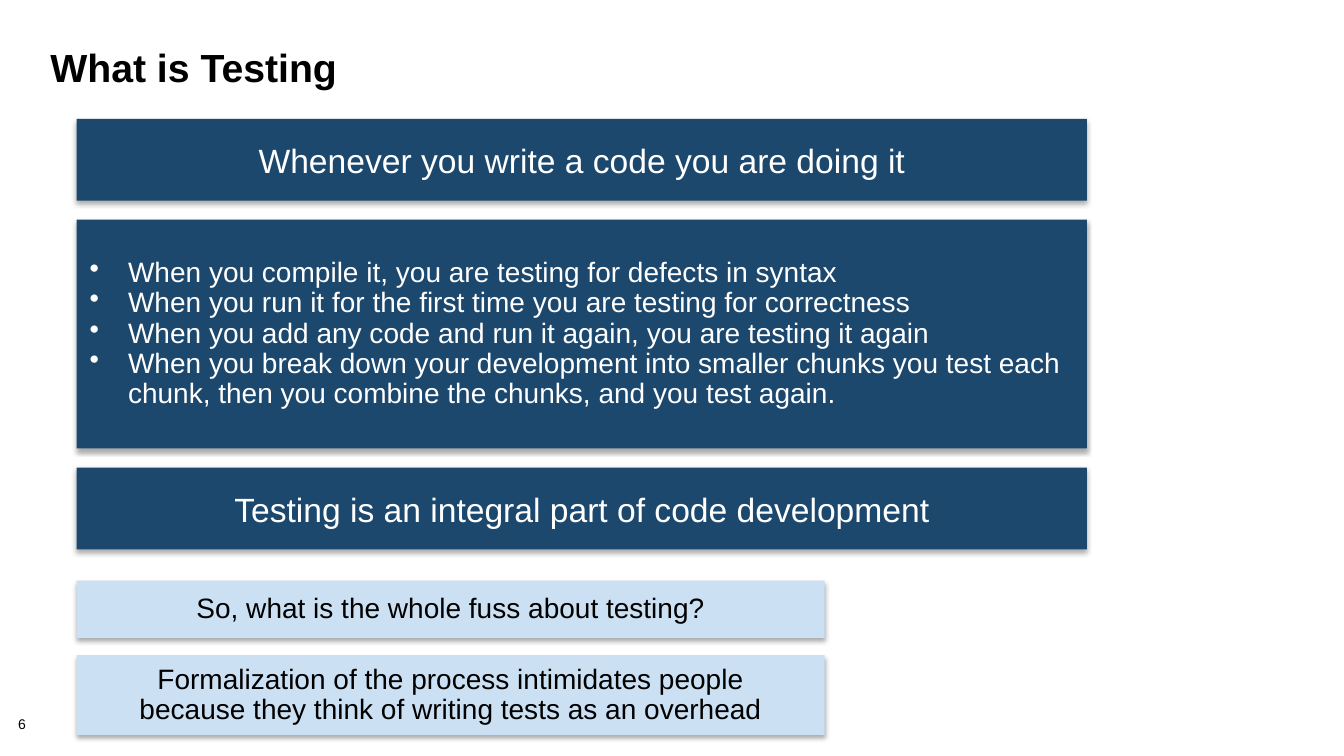
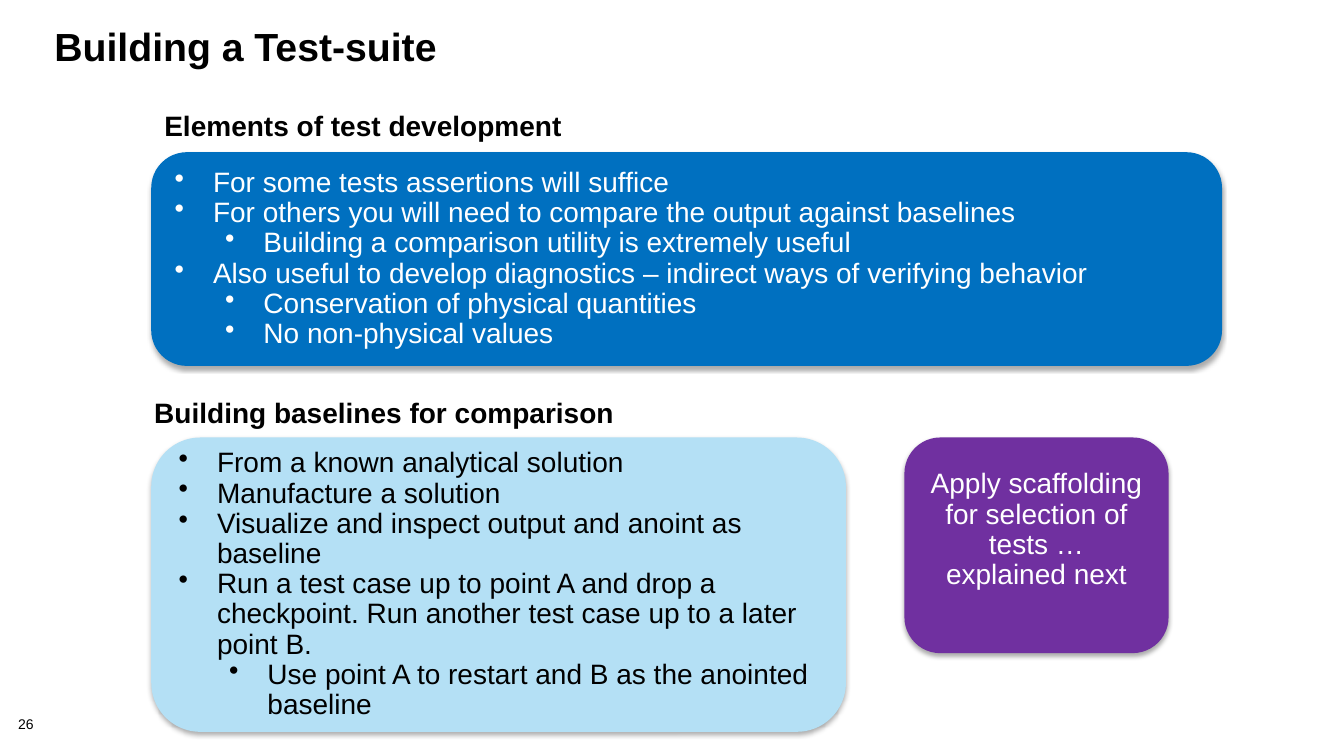
from lxml.etree import fromstring
from pptx import Presentation
from pptx.dml.color import RGBColor
from pptx.enum.shapes import MSO_SHAPE
from pptx.enum.text import MSO_ANCHOR, PP_ALIGN
from pptx.oxml.ns import nsdecls
from pptx.oxml.xmlchemy import OxmlElement
from pptx.util import Inches, Pt

COLORS = {
    "black": "000000",
    "white": "FFFFFF",
    "navy": "1D486E",
    "pale": "CBE0F2",
    "blue": "0070C0",
    "sky": "B4E0F5",
    "purple": "7030A0",
}
FONT = "Arial"
SHADOW = (
    f'<a:outerShdw {nsdecls("a")} blurRad="44450" dist="27940" dir="5400000" '
    'algn="ctr" rotWithShape="0"><a:srgbClr val="000000"><a:alpha val="32000"/>'
    "</a:srgbClr></a:outerShdw>"
)


def write(tf, lines, size=20, color="black", bold=False, align=PP_ALIGN.LEFT,
          spacing=0.9, bullets=False, anchor=MSO_ANCHOR.MIDDLE,
          insets=(0.13, 0.07, 0.13, 0.07)):
    tf.word_wrap = True
    tf.vertical_anchor = anchor
    tf.margin_left, tf.margin_top, tf.margin_right, tf.margin_bottom = map(Inches, insets)
    for i, (level, text) in enumerate(lines):
        p = tf.paragraphs[0] if i == 0 else tf.add_paragraph()
        p.alignment = align
        p.level = level
        p.line_spacing = spacing
        if bullets:
            pPr = p._p.get_or_add_pPr()
            pPr.set("marL", str(Inches(0.38 + 0.5 * level)))
            pPr.set("indent", str(Inches(-0.38)))
            bu = OxmlElement("a:buChar")
            bu.set("char", "•")
            pPr.append(bu)
        r = p.add_run()
        r.text = text
        r.font.name = FONT
        r.font.size = Pt(size)
        r.font.bold = bold
        r.font.color.rgb = RGBColor.from_string(COLORS[color])


def add_panel(s, kind, at, fill, lines, **fmt):
    sp = s.shapes.add_shape(kind, *map(Inches, at))
    sp.fill.solid()
    sp.fill.fore_color.rgb = RGBColor.from_string(COLORS[fill])
    sp.line.fill.background()
    sp.shadow.inherit = False
    sp._element.spPr.find(".//{*}effectLst").append(fromstring(SHADOW))
    write(sp.text_frame, lines, **fmt)


prs = Presentation()
prs.slide_width = Inches(13.33)
prs.slide_height = Inches(7.5)

slides = []
for title, left, top, number in [
    ("What is Testing", 0.4, 0.45, "6"),
    ("Building a Test-suite", 0.44, 0.24, "26"),
]:
    s = prs.slides.add_slide(prs.slide_layouts[5])
    sp = s.shapes.title
    sp.left, sp.top, sp.width, sp.height = map(Inches, (left, top, 12.44, 1))
    write(sp.text_frame, [(0, title)], size=28, bold=True, spacing=0.85,
          anchor=MSO_ANCHOR.TOP, insets=(0.1, 0.05, 0.1, 0.05))
    sp = s.shapes.add_textbox(*map(Inches, (0.18, 7.12, 0.56, 0.16)))
    write(sp.text_frame, [(0, number)], size=10, anchor=MSO_ANCHOR.TOP, insets=(0, 0, 0, 0))
    slides.append(s)

testing, suite = slides

for top, text in [
    (1.18, "Whenever you write a code you are doing it"),
    (4.64, "Testing is an integral part of code development"),
]:
    add_panel(testing, MSO_SHAPE.RECTANGLE, (0.76, top, 10.02, 0.81), "navy", [(0, text)],
              size=24, color="white", align=PP_ALIGN.CENTER, insets=(0.13, 0.13, 0.13, 0.07))

add_panel(testing, MSO_SHAPE.RECTANGLE, (0.76, 2.18, 10.02, 2.27), "navy", [
    (0, "When you compile it, you are testing for defects in syntax"),
    (0, "When you run it for the first time you are testing for correctness"),
    (0, "When you add any code and run it again, you are testing it again"),
    (0, "When you break down your development into smaller chunks you test each chunk, "
        "then you combine the chunks, and you test again."),
], color="white", bullets=True)

for top, height, lines in [
    (5.76, 0.57, [(0, "So, what is the whole fuss about testing?")]),
    (6.5, 0.79, [(0, "Formalization of the process intimidates people"),
                 (0, "because they think of writing tests as an overhead")]),
]:
    add_panel(testing, MSO_SHAPE.RECTANGLE, (0.76, top, 7.42, height), "pale", lines,
              align=PP_ALIGN.CENTER)

for left, top, text in [
    (1.5, 1.01, "Elements of test development"),
    (1.4, 3.86, "Building baselines for comparison"),
]:
    sp = suite.shapes.add_textbox(*map(Inches, (left, top, 5, 0.5)))
    write(sp.text_frame, [(0, text)], bold=True, insets=(0.13, 0.1, 0.13, 0.1))

add_panel(suite, MSO_SHAPE.ROUNDED_RECTANGLE, (1.5, 1.51, 10.62, 2.12), "blue", [
    (0, "For some tests assertions will suffice"),
    (0, "For others you will need to compare the output against baselines"),
    (1, "Building a comparison utility is extremely useful"),
    (0, "Also useful to develop diagnostics – indirect ways of verifying behavior"),
    (1, "Conservation of physical quantities"),
    (1, "No non-physical values"),
], color="white", bullets=True)

add_panel(suite, MSO_SHAPE.ROUNDED_RECTANGLE, (1.5, 4.34, 6.89, 2.92), "sky", [
    (0, "From a known analytical solution"),
    (0, "Manufacture a solution"),
    (0, "Visualize and inspect output and anoint as baseline"),
    (0, "Run a test case up to point A and drop a checkpoint. "
        "Run another test case up to a later point B."),
    (1, "Use point A to restart and B as the anointed baseline"),
], bullets=True)

add_panel(suite, MSO_SHAPE.ROUNDED_RECTANGLE, (8.97, 4.34, 2.62, 2.14), "purple",
          [(0, "Apply scaffolding for selection of tests … explained next")],
          color="white", align=PP_ALIGN.CENTER, insets=(0.13, 0.07, 0.13, 0.37))

prs.save("out.pptx")
